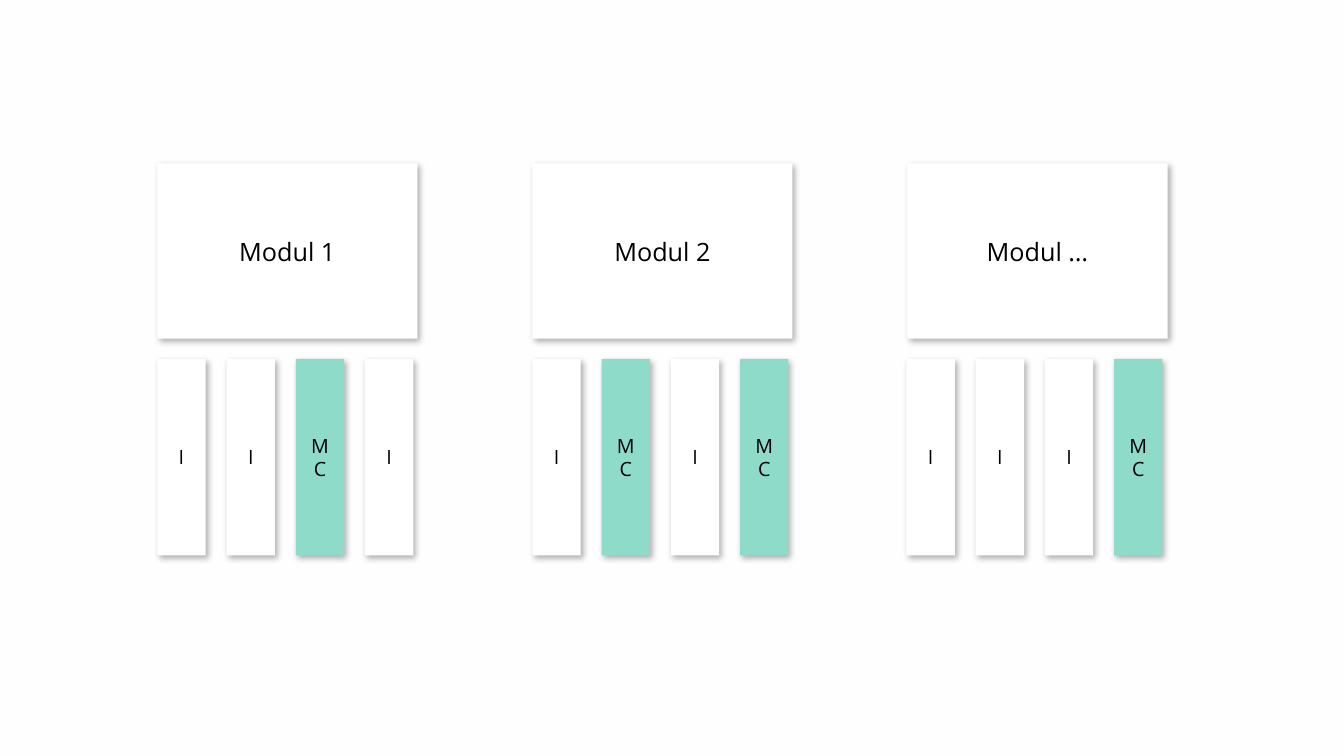
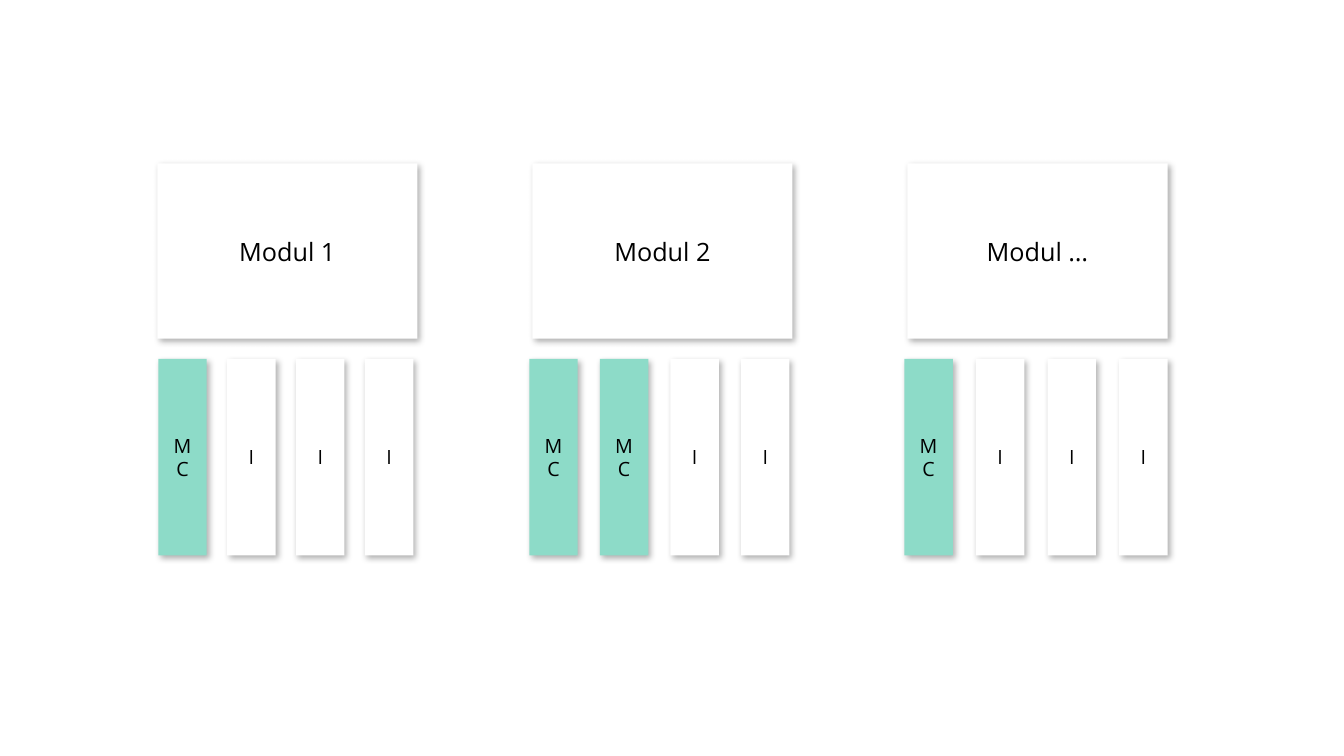
from dataclasses import dataclass

from lxml.etree import SubElement
from pptx import Presentation
from pptx.dml.color import RGBColor
from pptx.enum.shapes import MSO_SHAPE
from pptx.enum.text import MSO_ANCHOR, PP_ALIGN
from pptx.oxml.ns import qn
from pptx.util import Inches, Pt


@dataclass(frozen=True)
class Theme:
    """Colours, font and type sizes shared by the slides."""

    font: str = "Open Sans"
    ink: str = "000000"
    card: str = "FFFFFF"
    accent: str = "8DDBC8"
    module_size: int = 18
    unit_size: int = 14


class Builder:
    """Draws shadowed cards on the current slide."""

    def __init__(self, deck, theme):
        self.deck = deck
        self.theme = theme
        self.page = None

    def add_page(self, background):
        """Start a blank slide with a plain background."""
        self.page = self.deck.slides.add_slide(self.deck.slide_layouts[6])
        fill = self.page.background.fill
        fill.solid()
        fill.fore_color.rgb = RGBColor.from_string(background)

    def add_shadow(self, box):
        """Give a shape a soft shadow towards the lower right."""
        box.shadow.inherit = False
        effects = box.element.spPr.find(qn("a:effectLst"))
        shadow = SubElement(effects, qn("a:outerShdw"), blurRad=str(Pt(4.5)),
                            dist=str(Pt(2.6)), dir=str(53 * 60000),
                            algn="tl", rotWithShape="0")
        colour = SubElement(shadow, qn("a:srgbClr"), val=self.theme.ink)
        SubElement(colour, qn("a:alpha"), val="31000")

    def add_card(self, text, left, top, width, height, size, colour):
        """Draw a filled card with centred text."""
        box = self.page.shapes.add_shape(
            MSO_SHAPE.RECTANGLE, Inches(left), Inches(top), Inches(width), Inches(height))
        box.fill.solid()
        box.fill.fore_color.rgb = RGBColor.from_string(colour)
        box.line.fill.background()
        self.add_shadow(box)
        frame = box.text_frame
        frame.word_wrap = True
        frame.vertical_anchor = MSO_ANCHOR.MIDDLE
        para = frame.paragraphs[0]
        para.alignment = PP_ALIGN.CENTER
        span = para.add_run()
        span.text = text
        span.font.name = self.theme.font
        span.font.size = Pt(size)
        span.font.color.rgb = RGBColor.from_string(self.theme.ink)

    def add_module(self, name, left):
        """Draw a large module card."""
        self.add_card(name, left, 1.62, 2.58, 1.74, self.theme.module_size, self.theme.card)

    def add_units(self, labels, first, last):
        """Spread unit cards evenly between the first and last left edges."""
        pitch = (last - first) / (len(labels) - 1)
        for index, label in enumerate(labels):
            colour = self.theme.accent if label == "MC" else self.theme.card
            self.add_card(label, first + index * pitch, 3.56, 0.48, 1.95,
                          self.theme.unit_size, colour)


MODULES = ("Modul 1", "Modul 2", "Modul …")
PAGES = (
    ("FEFEFE", (
        (("I", "I", "MC", "I"), 1.56, 3.62),
        (("I", "MC", "I", "MC"), 5.28, 7.34),
        (("I", "I", "I", "MC"), 8.99, 11.05),
    )),
    ("FFFFFF", (
        (("MC", "I", "I", "I"), 1.57, 3.62),
        (("MC", "MC", "I", "I"), 5.25, 7.35),
        (("MC", "I", "I", "I"), 8.97, 11.1),
    )),
)


def main():
    """Build and save the deck."""
    deck = Presentation()
    deck.slide_width = Inches(13.33)
    deck.slide_height = Inches(7.5)
    builder = Builder(deck, Theme())
    for background, unit_rows in PAGES:
        builder.add_page(background)
        for index, name in enumerate(MODULES):
            builder.add_module(name, 1.56 + index * 3.72)
        for labels, first, last in unit_rows:
            builder.add_units(labels, first, last)
    deck.save("out.pptx")


main()
